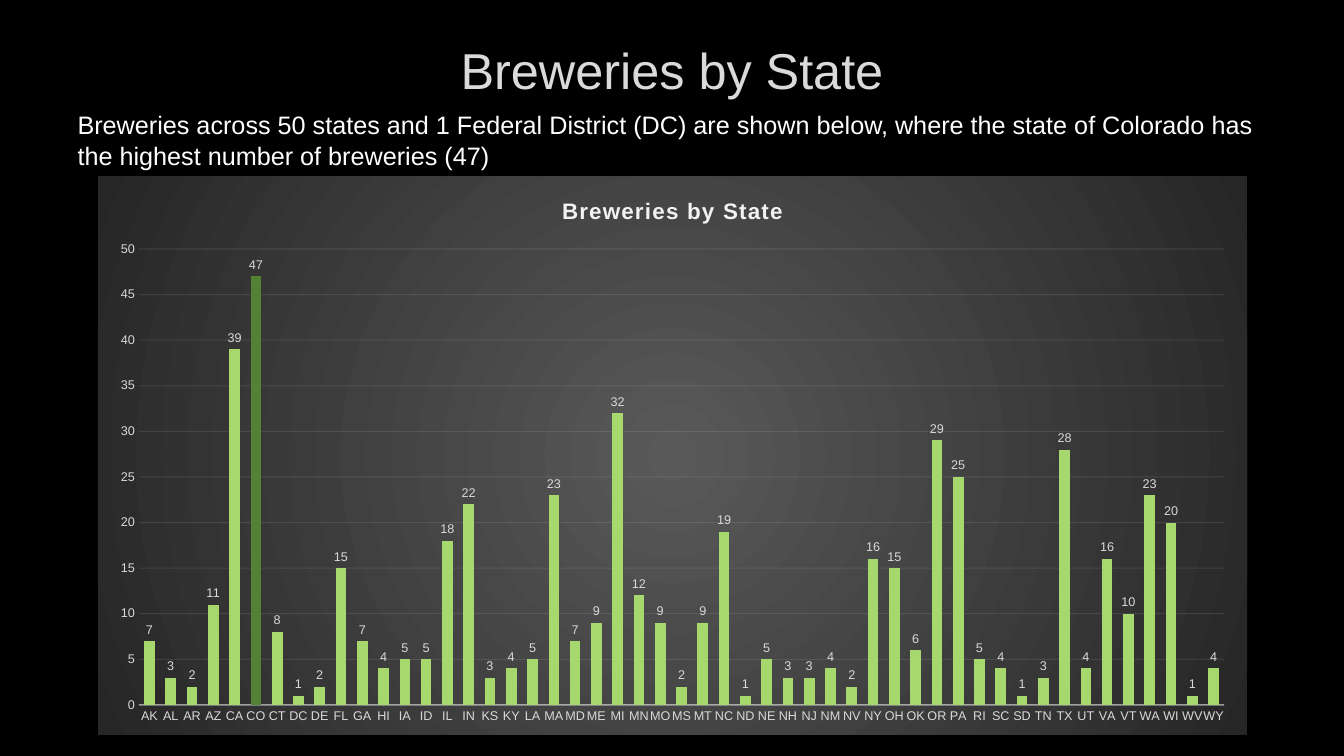
from dataclasses import dataclass

from lxml import etree
from pptx import Presentation
from pptx import util as u
from pptx.chart.data import CategoryChartData
from pptx.dml.color import RGBColor
from pptx.enum import chart as ch, text
from pptx.oxml import parse_xml
from pptx.oxml.ns import nsdecls, qn

WIDE, HIGH = u.Inches(13.33), u.Inches(7.5)


@dataclass(frozen=True)
class Theme:
    face: str = "Arial"
    back: str = "000000"
    white: str = "FFFFFF"
    head: str = "DADADA"
    edge: str = "404040"
    label: str = "D9D9D9"
    rule: str = "F2F2F2"
    bar: str = "A6D86E"
    top: str = "548235"
    inner: str = "595959"
    outer: str = "262626"
    huge: float = 36
    body: float = 18
    title: float = 16
    base: float = 10
    small: float = 9


@dataclass(frozen=True)
class Box:
    left: float
    top: float
    width: float
    height: float

    def span(self) -> tuple[int, int, int, int]:
        return (int(WIDE * self.left / 100), int(HIGH * self.top / 100),
                int(WIDE * self.width / 100), int(HIGH * self.height / 100))


@dataclass(frozen=True)
class Rule:
    width: float
    alpha: int


THEME = Theme()
HEAD = Box(2.93, 5.2, 94.15, 7.87)
NOTE = Box(5.03, 13.87, 90.02, 9.47)
PLOT = Box(7.28, 23.33, 85.52, 73.87)
BASE, GRID = Rule(1, 54), Rule(0.75, 10)
NAME = "Breweries by State"
LEAD = ("Breweries across 50 states and 1 Federal District (DC) are shown below, "
        "where the state of Colorado has the highest number of breweries (47)")
STATES = (
    "AK AL AR AZ CA CO CT DC DE FL GA HI IA ID IL IN KS KY LA MA MD ME MI MN MO MS "
    "MT NC ND NE NH NJ NM NV NY OH OK OR PA RI SC SD TN TX UT VA VT WA WI WV WY"
).split()
COUNTS = (
    7, 3, 2, 11, 39, 47, 8, 1, 2, 15, 7, 4, 5, 5, 18, 22, 3, 4, 5, 23, 7, 9, 32, 12, 9, 2,
    9, 19, 1, 5, 3, 3, 4, 2, 16, 15, 6, 29, 25, 5, 4, 1, 3, 28, 4, 16, 10, 23, 20, 1, 4,
)


def style(font, size: float, color: str, bold: bool = False) -> None:
    font.name, font.size, font.bold = THEME.face, u.Pt(size), bold
    font.color.rgb = RGBColor.from_string(color)


def write(frame, words: str, size: float, color: str):
    run = frame.paragraphs[0].add_run()
    run.text = words
    style(run.font, size, color)
    return run


def trace(line, rule: Rule) -> None:
    line.width = u.Pt(rule.width)
    line.color.rgb = RGBColor.from_string(THEME.rule)
    tint = line._get_or_add_ln().find(".//" + qn("a:srgbClr"))
    etree.SubElement(tint, qn("a:alpha")).set("val", str(rule.alpha * 1000))


def add_head(slide) -> None:
    head = slide.shapes.title
    head.left, head.top, head.width, head.height = HEAD.span()
    frame = head.text_frame
    frame.auto_size = text.MSO_AUTO_SIZE.NONE
    frame.vertical_anchor = text.MSO_ANCHOR.MIDDLE
    frame.paragraphs[0].alignment = text.PP_ALIGN.CENTER
    run = write(frame, NAME, THEME.huge, THEME.head)
    run._r.get_or_add_rPr().insert(0, parse_xml(
        f'<a:ln {nsdecls("a")} w="9525"><a:solidFill><a:srgbClr val="{THEME.edge}">'
        '<a:alpha val="10000"/></a:srgbClr></a:solidFill></a:ln>'))


def add_note(slide) -> None:
    frame = slide.shapes.add_textbox(*NOTE.span()).text_frame
    frame.word_wrap = True
    frame.auto_size = text.MSO_AUTO_SIZE.SHAPE_TO_FIT_TEXT
    write(frame, LEAD, THEME.body, THEME.white)


def shade(chart) -> None:
    stops = "".join(
        f'<a:gs pos="{spot}"><a:srgbClr val="{color}"/></a:gs>'
        for spot, color in ((0, THEME.inner), (100000, THEME.outer)))
    chart._chartSpace.find(qn("c:chart")).addnext(parse_xml(
        f'<c:spPr {nsdecls("c", "a")}><a:gradFill><a:gsLst>{stops}</a:gsLst>'
        '<a:path path="circle"><a:fillToRect l="50000" t="50000" r="50000" b="50000"/>'
        '</a:path></a:gradFill><a:ln><a:noFill/></a:ln></c:spPr>'))


def set_axes(chart) -> None:
    states, counts = chart.category_axis, chart.value_axis
    for axis in (states, counts):
        axis.major_tick_mark = axis.minor_tick_mark = ch.XL_TICK_MARK.NONE
        style(axis.tick_labels.font, THEME.small, THEME.label)
    states._element.find(qn("c:txPr")).find(qn("a:bodyPr")).set("rot", "-60000000")
    trace(states.format.line, BASE)
    counts.minimum_scale, counts.maximum_scale, counts.major_unit = 0, 50, 5
    counts.format.line.fill.background()
    trace(counts.major_gridlines.format.line, GRID)


def set_bars(chart) -> None:
    plot = chart.plots[0]
    plot.gap_width, plot.overlap, plot.vary_by_categories = 100, -24, False
    bars = plot.series[0]
    peak = bars.points[COUNTS.index(max(COUNTS))]
    for part, color in ((bars, THEME.bar), (peak, THEME.top)):
        part.format.fill.solid()
        part.format.fill.fore_color.rgb = RGBColor.from_string(color)
    labels = bars.data_labels
    labels.show_value = True
    labels.position = ch.XL_LABEL_POSITION.OUTSIDE_END
    style(labels.font, THEME.small, THEME.label)


def add_plot(slide) -> None:
    data = CategoryChartData()
    data.categories = STATES
    data.add_series("Series 1", COUNTS)
    chart = slide.shapes.add_chart(
        ch.XL_CHART_TYPE.COLUMN_CLUSTERED, *PLOT.span(), data).chart
    chart.has_legend = False
    style(chart.font, THEME.base, THEME.white)
    run = write(chart.chart_title.text_frame, NAME, THEME.title, THEME.rule)
    run.font.bold = True
    run._r.get_or_add_rPr().set("spc", "100")
    chart.chart_title.include_in_layout = False
    shade(chart)
    set_axes(chart)
    set_bars(chart)


def main() -> None:
    deck = Presentation()
    deck.slide_width, deck.slide_height = WIDE, HIGH
    slide = deck.slides.add_slide(deck.slide_layouts[5])
    slide.background.fill.solid()
    slide.background.fill.fore_color.rgb = RGBColor.from_string(THEME.back)
    add_head(slide)
    add_note(slide)
    add_plot(slide)
    deck.save("out.pptx")


if __name__ == "__main__":
    main()
